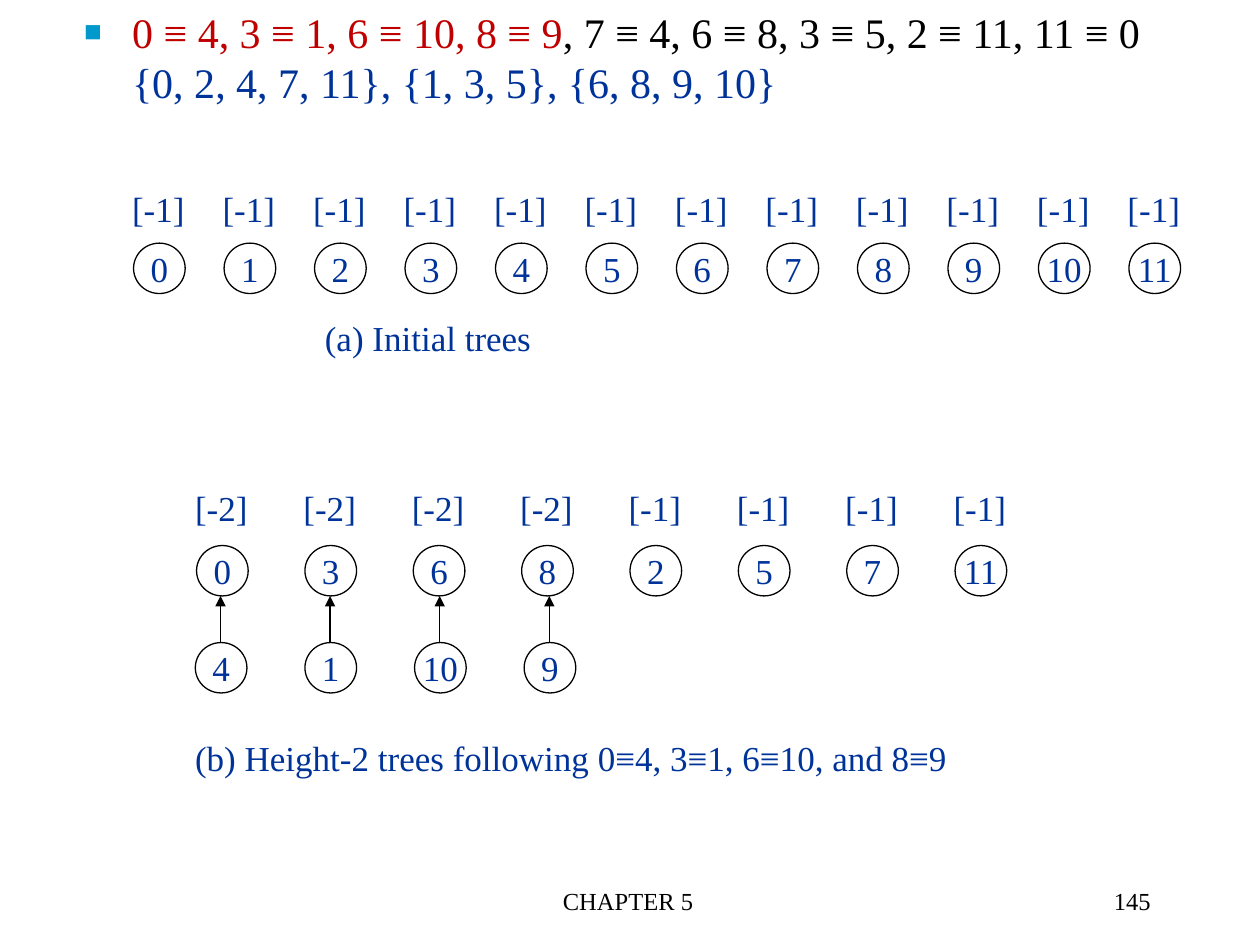
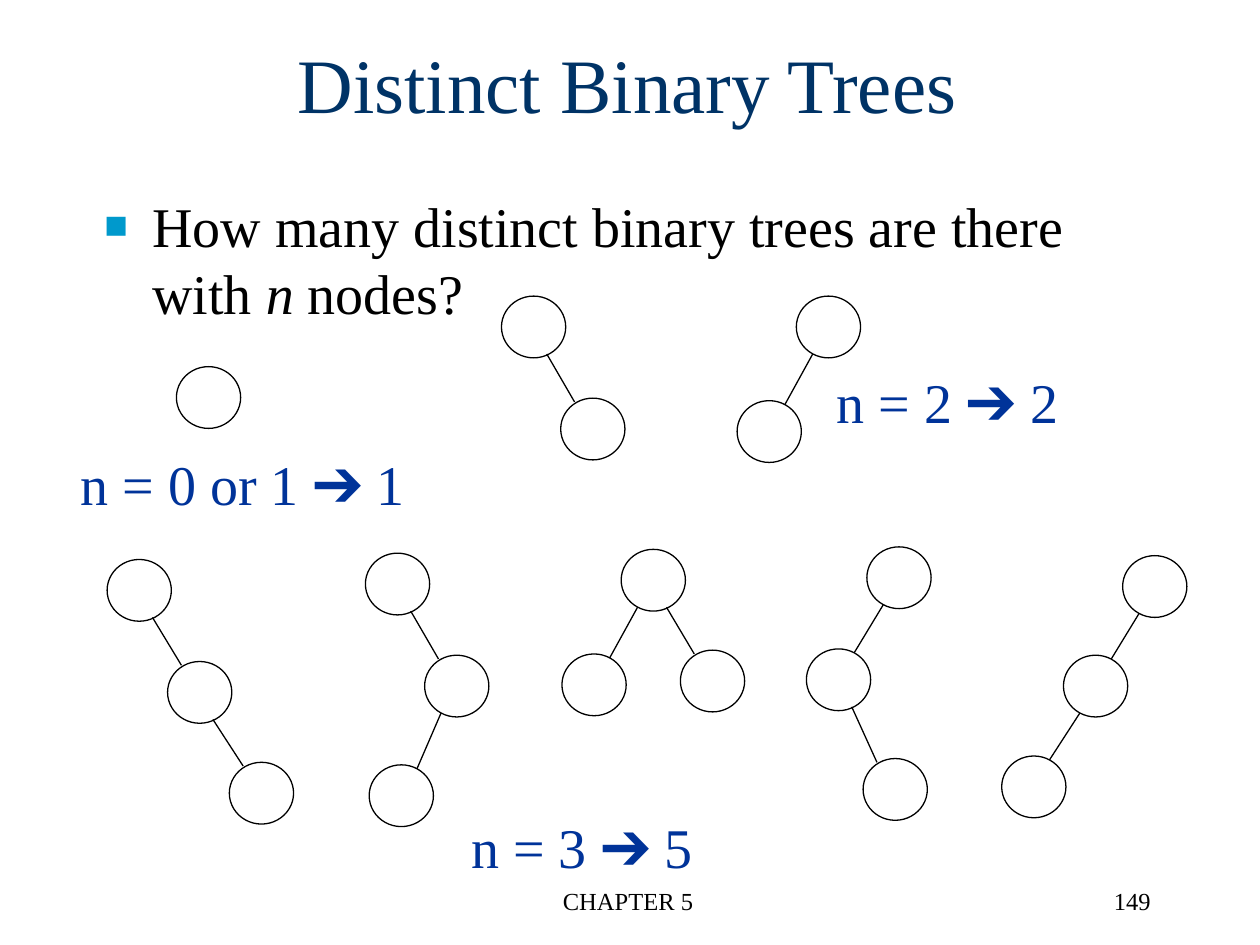
from dataclasses import dataclass

from lxml.etree import SubElement
from pptx import Presentation
from pptx.dml.color import RGBColor as Rgb
from pptx.enum.shapes import MSO_CONNECTOR as Line, MSO_SHAPE as Shape
from pptx.enum.text import MSO_ANCHOR as Anchor, PP_ALIGN as Align
from pptx.oxml.ns import qn
from pptx.util import Inches, Pt


@dataclass(frozen=True)
class Theme:
    font: str = "Times New Roman"
    black: str = "000000"
    white: str = "FFFFFF"
    blue: str = "003399"
    navy: str = "003366"
    red: str = "C00000"
    cyan: str = "0099CC"
    title: int = 44
    body: int = 32
    pairs: int = 24
    label: int = 20
    foot: int = 14
    line: float = 0.75


T = Theme()
FOOTER = "CHAPTER 5"

# Slide 1: equivalence classes
PAIRS = [
    ("0 ≡ 4, 3 ≡ 1, 6 ≡ 10, 8 ≡ 9", T.red),
    (", 7 ≡ 4, 6 ≡ 8, 3 ≡ 5, 2 ≡ 11, 11 ≡ 0", T.black),
    "\n",
    ("{0, 2, 4, 7, 11}, {1, 3, 5}, {6, 8, 9, 10}", T.blue),
]
FIRST = [(str(n), "[-1]") for n in range(12)]
ROOTS = [(n, "[-2]") for n in ("0", "3", "6", "8")]
ROOTS += [(n, "[-1]") for n in ("2", "5", "7", "11")]
KIDS = ["4", "1", "10", "9"]
NOTES = [
    ("(a) Initial trees", (2.48, 2.46, 2.36, 0.44)),
    ("(b) Height-2 trees following 0≡4, 3≡1, 6≡10, and 8≡9",
     (1.45, 5.8, 7.34, 0.44)),
]

# Slide 2: each tree is (node corners, edges as parent-child pairs)
TITLE = "Distinct Binary Trees"
ASK = [("How many distinct binary trees are there with ", T.black),
       ("n", T.black, True), (" nodes?", T.black)]
CHAIN = [(0, 1), (1, 2)]
TREES = [
    ([(1.4, 2.91)], []),
    ([(3.98, 2.35), (4.45, 3.16)], [(0, 1)]),
    ([(6.32, 2.35), (5.85, 3.18)], [(0, 1)]),
    ([(0.85, 4.44), (1.33, 5.25), (1.82, 6.05)], CHAIN),
    ([(2.9, 4.39), (3.37, 5.2), (2.93, 6.07)], CHAIN),
    ([(4.93, 4.36), (4.46, 5.19), (5.4, 5.16)], [(0, 1), (0, 2)]),
    ([(6.88, 4.34), (6.4, 5.15), (6.85, 6.02)], CHAIN),
    ([(8.91, 4.41), (8.44, 5.2), (7.95, 6.0)], CHAIN),
]
COUNTS = [
    ("n = 0 or 1 ➔ 1", (0.54, 3.52, 2.99, 0.64)),
    ("n = 2 ➔ 2", (6.54, 2.87, 2.17, 0.64)),
    ("n = 3 ➔ 5", (3.64, 6.4, 2.05, 0.64)),
]


def style(run, size, color, slant=False):
    font = run.font
    font.name, font.size, font.italic = T.font, Pt(size), slant
    font.color.rgb = Rgb.from_string(color)


def write(slide, text, box, size, color, align=Align.LEFT, anchor=Anchor.TOP):
    frame = slide.shapes.add_textbox(*map(Inches, box)).text_frame
    frame.word_wrap = True
    frame.vertical_anchor = anchor
    frame.text = text
    para = frame.paragraphs[0]
    para.alignment = align
    for run in para.runs:
        style(run, size, color)
    return para


def bullet(slide, parts, box, size):
    """Add one square-bulleted paragraph made of (text, colour, slant) parts."""
    para = write(slide, "", box, size, T.black)
    props = para._p.get_or_add_pPr()
    props.set("marL", str(Inches(0.38)))
    props.set("indent", str(-Inches(0.38)))
    tint = SubElement(props, qn("a:buClr"))
    SubElement(tint, qn("a:srgbClr"), val=T.cyan)
    SubElement(props, qn("a:buSzPct"), val="70000")
    SubElement(props, qn("a:buFont"), typeface=T.font)
    SubElement(props, qn("a:buChar"), char="■")
    for part in parts:
        if part == "\n":
            para.add_line_break()
            continue
        run = para.add_run()
        run.text = part[0]
        style(run, size, *part[1:])


def node(slide, x, y, wide, high, text="", fill=None):
    oval = slide.shapes.add_shape(
        Shape.OVAL, *map(Inches, (x, y, wide, high)))
    oval.shadow.inherit = False
    if fill:
        oval.fill.solid()
        oval.fill.fore_color.rgb = Rgb.from_string(fill)
    else:
        oval.fill.background()
    oval.line.color.rgb = Rgb.from_string(T.black)
    oval.line.width = Pt(T.line)
    if text:
        frame = oval.text_frame
        frame.word_wrap = False
        frame.vertical_anchor = Anchor.MIDDLE
        frame.text = text
        frame.paragraphs[0].alignment = Align.CENTER
        style(frame.paragraphs[0].runs[0], T.label, T.blue)


def link(slide, start, end, arrow=False):
    line = slide.shapes.add_connector(
        Line.STRAIGHT, *map(Inches, (*start, *end)))
    line.line.color.rgb = Rgb.from_string(T.black)
    line.line.width = Pt(T.line)
    if arrow:
        SubElement(line.line._get_or_add_ln(), qn("a:tailEnd"),
                   type="triangle")
    SubElement(line._element.spPr, qn("a:effectLst"))


def row(slide, items, left, step, top, high):
    """Draw evenly spaced nodes at top with their labels at high."""
    for i, (name, label) in enumerate(items):
        x = left + i * step
        node(slide, x, top, 0.41, 0.4, name)
        write(slide, label, (x - 0.11, high, 0.67, 0.44), T.label, T.blue)


def tree(slide, spots, edges):
    for x, y in spots:
        node(slide, x, y, 0.51, 0.49)
    for a, b in edges:
        (px, py), (cx, cy) = spots[a], spots[b]
        out, into = (0.36, 0.11) if cx > px else (0.13, 0.38)
        link(slide, (px + out, py + 0.46), (cx + into, cy + 0.03))


def page(deck, number):
    slide = deck.slides.add_slide(deck.slide_layouts[6])
    write(slide, FOOTER, (3.4, 6.98, 3.17, 0.5), T.foot, T.black,
          Align.CENTER)
    write(slide, number, (7.15, 6.98, 2.08, 0.5), T.foot, T.black,
          Align.RIGHT)
    return slide


def classes(deck):
    slide = page(deck, "145")
    bullet(slide, PAIRS, (0.57, 0, 8.95, 4.5), T.pairs)
    row(slide, FIRST, 1.06, 7.9 / 11, 1.93, 1.44)
    row(slide, ROOTS, 1.56, 0.86, 4.33, 3.81)
    for i, name in enumerate(KIDS):
        x = 1.55 + i * 0.87
        node(slide, x, 5.1, 0.41, 0.4, name, T.white)
        link(slide, (x + 0.2, 5.1), (x + 0.2, 4.73), arrow=True)
    for text, box in NOTES:
        write(slide, text, box, T.label, T.blue)


def shapes(deck):
    slide = page(deck, "149")
    write(slide, TITLE, (0.73, 0.03, 8.5, 1.25), T.title, T.navy,
          Align.CENTER, Anchor.MIDDLE)
    bullet(slide, ASK, (0.73, 1.47, 8.5, 4.5), T.body)
    for spots, edges in TREES:
        tree(slide, spots, edges)
    for text, box in COUNTS:
        write(slide, text, box, T.body, T.blue)


def main():
    deck = Presentation()
    deck.slide_width, deck.slide_height = Inches(10), Inches(7.5)
    classes(deck)
    shapes(deck)
    deck.save("out.pptx")


if __name__ == "__main__":
    main()
